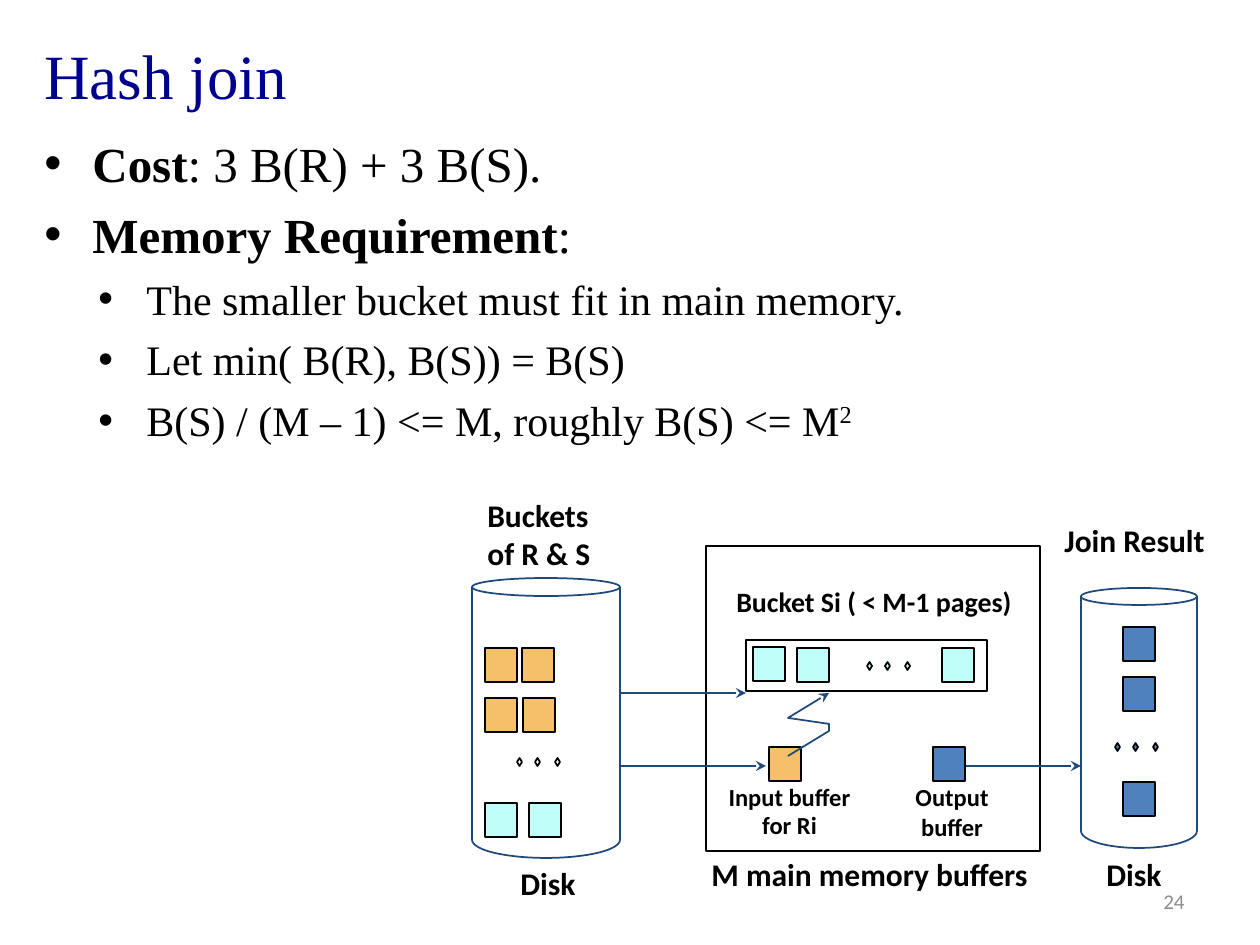
"""Build the slide on the cost and memory requirement of a hash join."""
import pptx
import pptx.dml.color
import pptx.enum.shapes
import pptx.enum.text
import pptx.oxml
import pptx.oxml.ns
import pptx.util

SCALE = 914400 / 126
COLOURS = {
    "title": "000090", "text": "000000", "number": "8C8C8C", "edge": "1F497D",
    "orange": "F6BF69", "cyan": "C0FEF9", "blue": "4F81BD",
}
SHAPE = pptx.enum.shapes.MSO_SHAPE
ALIGN = pptx.enum.text.PP_ALIGN
ANCHOR = pptx.enum.text.MSO_ANCHOR
SERIF, SANS = "Times New Roman", "Calibri"


def emu(pixels):
    return pptx.util.Emu(round(pixels * SCALE))


def colour(name):
    return pptx.dml.color.RGBColor.from_string(COLOURS[name])


def add_child(parent, tag, **attributes):
    child = pptx.oxml.parse_xml(f"<a:{tag} {pptx.oxml.ns.nsdecls('a')}/>")
    for key, value in attributes.items():
        child.set(key, value)
    parent.append(child)
    return child


def add_span(para, text, size, font=SANS, tint="text", bold=False):
    span = para.add_run()
    span.text = text
    span.font.size = pptx.util.Pt(size)
    span.font.name = font
    span.font.bold = bold
    span.font.color.rgb = colour(tint)
    return span


def add_box(page, left, top, width, height, anchor=ANCHOR.TOP):
    box = page.shapes.add_textbox(emu(left), emu(top), emu(width), emu(height))
    box.text_frame.word_wrap = True
    box.text_frame.vertical_anchor = anchor
    return box


def next_para(frame, index):
    return frame.add_paragraph() if index else frame.paragraphs[0]


def add_label(page, left, top, width, height, lines, size, align=ALIGN.LEFT, first_spacing=None):
    frame = add_box(page, left, top, width, height).text_frame
    frame.word_wrap = False
    frame.auto_size = pptx.enum.text.MSO_AUTO_SIZE.SHAPE_TO_FIT_TEXT
    for index, line in enumerate(lines):
        para = next_para(frame, index)
        para.alignment = align
        add_span(para, line, size, bold=True)
    if first_spacing:
        frame.paragraphs[0].line_spacing = first_spacing


def add_bullets(page, items):
    frame = add_box(page, 32, 127, 1203, 766).text_frame
    for index, (level, parts) in enumerate(items):
        para = next_para(frame, index)
        para.level = level
        size, indent, gap = ((28, 48, 7), (24, 102, 5.8))[level]
        para.space_before = pptx.util.Pt(gap)
        properties = para._p.get_or_add_pPr()
        properties.set("marL", str(emu(indent)))
        properties.set("indent", str(emu(-48)))
        add_child(properties, "buFont", typeface="Arial")
        add_child(properties, "buChar", char="•")
        for text, style in parts:
            span = add_span(para, text, size, SERIF, bold=style == "bold")
            if style == "super":
                span.font._element.set("baseline", "30000")


def outline(shape, tint="text", fill=None):
    shape.shadow.inherit = False
    shape.line.color.rgb = colour(tint)
    shape.line.width = pptx.util.Pt(1)
    if fill:
        shape.fill.solid()
        shape.fill.fore_color.rgb = colour(fill)
    else:
        shape.fill.background()
    return shape


def add_figure(page, kind, left, top, width, height, tint="text", fill=None):
    shape = page.shapes.add_shape(kind, emu(left), emu(top), emu(width), emu(height))
    return outline(shape, tint, fill)


def add_blocks(page, fill, corners):
    for left, top in corners:
        add_figure(page, SHAPE.RECTANGLE, left, top, 32, 34, fill=fill)


def add_dots(page, left, top, fill=None):
    for offset in (0, 18, 38):
        add_figure(page, SHAPE.DIAMOND, left + offset, top, 5, 8, fill=fill)


def add_arrowhead(shape):
    add_child(shape.line._get_or_add_ln(), "tailEnd", type="stealth")


def add_line(page, x1, y1, x2, y2, arrow=False):
    kind = pptx.enum.shapes.MSO_CONNECTOR.STRAIGHT
    line = page.shapes.add_connector(kind, emu(x1), emu(y1), emu(x2), emu(y2))
    line.line.color.rgb = colour("edge")
    line.line.width = pptx.util.Pt(1)
    if arrow:
        add_arrowhead(line)
    add_child(line._element.spPr, "effectLst")


def add_zigzag(page, points):
    builder = page.shapes.build_freeform(*points[0], scale=SCALE)
    builder.add_line_segments(points[1:], close=False)
    add_arrowhead(outline(builder.convert_to_shape(), "edge"))


def add_disk(page, left, right, top, bottom, depth):
    width = right - left
    add_figure(page, SHAPE.OVAL, left, top, width, depth, "edge")
    for x in (left, right):
        add_line(page, x, top + depth / 2, x, bottom - depth)
    base = add_figure(page, SHAPE.ARC, left, bottom - 2 * depth, width, 2 * depth, "edge")
    base.adjustments[0] = 0
    base.adjustments[1] = 108


def add_diagram(page):
    add_label(page, 475, 490, 130, 90, ["Buckets", "of R & S"], 18)
    add_label(page, 712, 789, 155, 57, ["Input buffer", "for Ri"], 14, ALIGN.CENTER, 0.5)
    add_label(page, 721, 578, 306, 47, ["Bucket Si ( < M-1 pages)"], 16, ALIGN.CENTER)
    add_label(page, 898, 776, 108, 72, ["Output", "buffer"], 14, ALIGN.CENTER)
    add_label(page, 699, 849, 347, 50, ["M main memory buffers"], 18)
    add_label(page, 508, 858, 87, 50, ["Disk"], 18)
    add_label(page, 1094, 849, 87, 50, ["Disk"], 18)
    add_label(page, 1052, 515, 176, 50, ["Join Result"], 18)

    add_figure(page, SHAPE.RECTANGLE, 706, 546, 334, 305)
    add_figure(page, SHAPE.RECTANGLE, 746, 640, 241, 51)
    add_blocks(page, "orange", [(485, 648), (522, 648), (485, 698), (523, 698), (769, 747)])
    add_blocks(page, "cyan", [(485, 803), (529, 803), (753, 647), (797, 648), (942, 648)])
    add_blocks(page, "blue", [(933, 747), (1123, 627), (1123, 677), (1123, 782)])
    add_dots(page, 517, 758)
    add_dots(page, 867, 662, "cyan")
    add_dots(page, 1115, 743, "blue")

    add_disk(page, 472, 620, 578, 858, 18)
    add_disk(page, 1081, 1197, 588, 848, 17)
    for x1, y, x2 in ((620, 693, 746), (620, 766, 766), (966, 766, 1081)):
        add_line(page, x1, y, x2, y, arrow=True)
    add_zigzag(page, [(788, 756), (829, 731), (829, 724), (788, 718), (829, 693)])


def main():
    deck = pptx.Presentation()
    deck.slide_width, deck.slide_height = emu(1260), emu(945)
    page = deck.slides.add_slide(deck.slide_layouts[6])

    title = add_box(page, 32, 6, 1203, 136, ANCHOR.MIDDLE)
    add_span(title.text_frame.paragraphs[0], "Hash join", 36, SERIF, "title")
    add_bullets(page, [
        (0, [("Cost", "bold"), (": 3 B(R) + 3 B(S).", None)]),
        (0, [("Memory Requirement", "bold"), (":", None)]),
        (1, [("The smaller bucket must fit in main memory.", None)]),
        (1, [("Let min( B(R), B(S)) = B(S)", None)]),
        (1, [("B(S) / (M – 1) <= M, roughly B(S) <= M", None), ("2", "super")]),
    ])
    add_diagram(page)
    number = add_box(page, 903, 876, 294, 50, ANCHOR.MIDDLE).text_frame.paragraphs[0]
    number.alignment = ALIGN.RIGHT
    add_span(number, "24", 12, tint="number")
    deck.save("out.pptx")


main()
